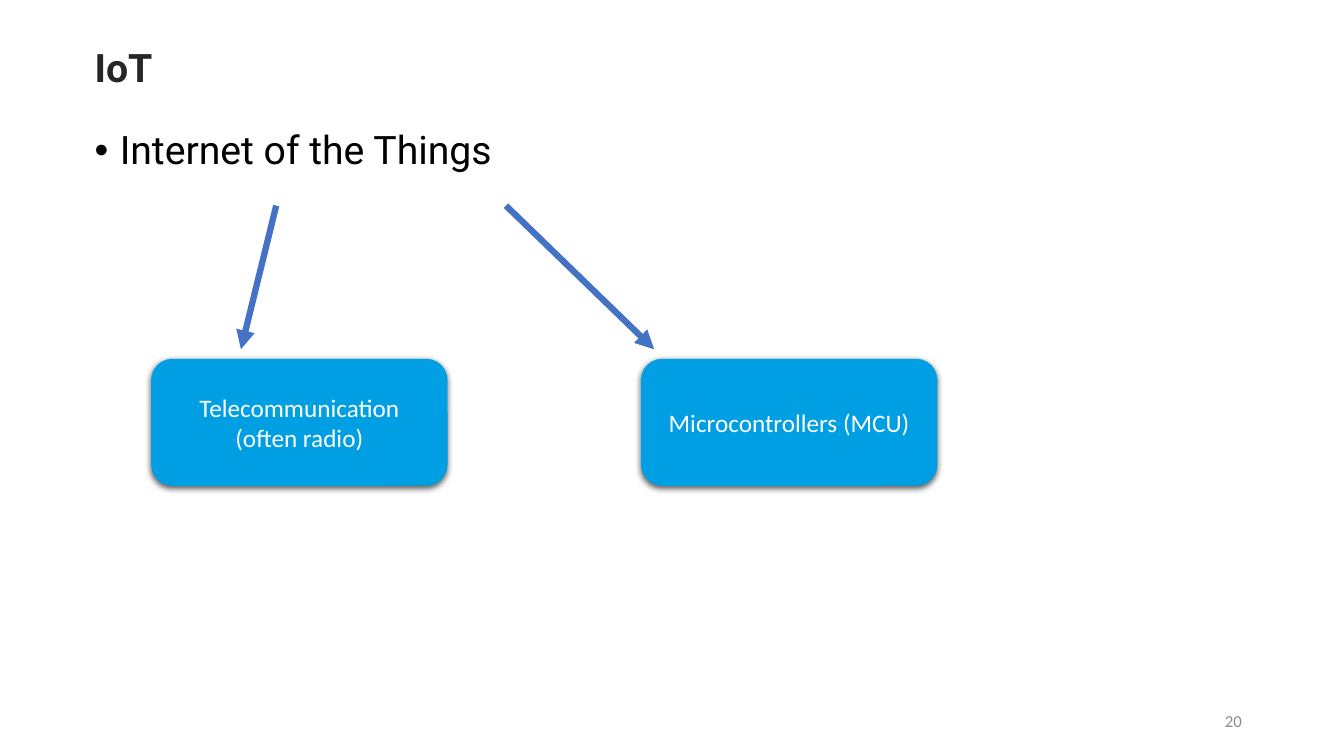
import dataclasses

import lxml.etree
import pptx
import pptx.dml.color
import pptx.enum.shapes
import pptx.enum.text
import pptx.oxml
import pptx.oxml.ns
import pptx.util

Pt = pptx.util.Pt
qn = pptx.oxml.ns.qn
ALIGN = pptx.enum.text.PP_ALIGN
ANCHOR = pptx.enum.text.MSO_ANCHOR
SHADOW = (
    '<a:outerShdw xmlns:a="http://schemas.openxmlformats.org/drawingml/2006/main"'
    ' blurRad="57150" dist="19050" dir="5400000" algn="ctr" rotWithShape="0">'
    '<a:srgbClr val="000000"><a:alpha val="63000"/></a:srgbClr></a:outerShdw>'
)


@dataclasses.dataclass(frozen=True)
class Theme:
    heading_font: str = "Roboto"
    text_font: str = "Calibri"
    title: str = "262626"
    body: str = "000000"
    number: str = "8C8C8C"
    card: str = "009FE3"
    card_text: str = "FFFFFF"
    arrow: str = "4472C4"
    heading_size: int = 28
    card_size: int = 18
    number_size: int = 12
    arrow_width: float = 4.5


THEME = Theme()


def rgb(color):
    return pptx.dml.color.RGBColor.from_string(color)


def write(sp, text, font, size, color, bold=False, anchor=ANCHOR.TOP, **paragraph):
    """Fill a shape with one formatted paragraph and return the paragraph."""
    tf = sp.text_frame
    tf.word_wrap = True
    tf.vertical_anchor = anchor
    p = tf.paragraphs[0]
    p.text = text
    for name, value in paragraph.items():
        setattr(p, name, value)
    for r in p.runs:
        for name, value in {"name": font, "size": Pt(size), "bold": bold}.items():
            setattr(r.font, name, value)
        r.font.color.rgb = rgb(color)
    return p


def add_box(slide, box):
    return slide.shapes.add_textbox(*map(Pt, box))


def add_title(slide, box, text):
    write(add_box(slide, box), text, THEME.heading_font, THEME.heading_size,
          THEME.title, bold=True, anchor=ANCHOR.BOTTOM, line_spacing=0.9)


def add_body(slide, box, text):
    p = write(add_box(slide, box), text, THEME.heading_font, THEME.heading_size,
              THEME.body, line_spacing=0.9)
    pPr = p._p.get_or_add_pPr()
    for name, value in {"marL": Pt(18), "indent": Pt(-18)}.items():
        pPr.set(name, str(value))
    lxml.etree.SubElement(pPr, qn("a:buFont")).set("typeface", "Arial")
    lxml.etree.SubElement(pPr, qn("a:buChar")).set("char", "•")


def add_number(slide, box, text):
    write(add_box(slide, box), text, THEME.text_font, THEME.number_size,
          THEME.number, anchor=ANCHOR.MIDDLE, alignment=ALIGN.RIGHT)


def add_card(slide, box, text):
    sp = slide.shapes.add_shape(
        pptx.enum.shapes.MSO_SHAPE.ROUNDED_RECTANGLE, *map(Pt, box))
    sp.fill.solid()
    sp.fill.fore_color.rgb = rgb(THEME.card)
    sp.line.fill.background()
    sp.shadow.inherit = False
    sp._element.spPr.find(qn("a:effectLst")).append(pptx.oxml.parse_xml(SHADOW))
    write(sp, text, THEME.text_font, THEME.card_size, THEME.card_text,
          anchor=ANCHOR.MIDDLE, alignment=ALIGN.CENTER)


def add_arrow(slide, start, end):
    line = slide.shapes.add_connector(
        pptx.enum.shapes.MSO_CONNECTOR.STRAIGHT, *map(Pt, (*start, *end)))
    line.line.color.rgb = rgb(THEME.arrow)
    line.line.width = Pt(THEME.arrow_width)
    ln = line.line._get_or_add_ln()
    lxml.etree.SubElement(ln, qn("a:tailEnd")).set("type", "triangle")
    lxml.etree.SubElement(line._element.spPr, qn("a:effectLst"))


def add_branches(slide, box, branches):
    """Place cards at both ends of the box's foot, with arrows from its top."""
    left, top, width, height = box
    card_w, card_h = 211.7, 90.7
    step = (width - card_w) / (len(branches) - 1)
    for i, (text, tail_x, head_x) in enumerate(branches):
        card_top = top + height - card_h
        add_card(slide, (left + i * step, card_top, card_w, card_h), text)
        add_arrow(slide, (left + tail_x, top), (left + head_x, card_top - 6.8))


def main():
    prs = pptx.Presentation()
    prs.slide_width, prs.slide_height = Pt(960), Pt(540)
    slide = prs.slides.add_slide(prs.slide_layouts[6])
    add_title(slide, (60.5, 18.7, 879.8, 49.7), "IoT")
    add_body(slide, (60.5, 90, 784, 393), "Internet of the Things")
    add_branches(slide, (108, 146.9, 561.6, 200.1), [
        ("Telecommunication\n(often radio)", 89.3, 64.1),
        ("Microcontrollers (MCU)", 253.4, 359.3),
    ])
    add_number(slide, (678.2, 500.4, 216, 28.8), "20")
    prs.save("out.pptx")


if __name__ == "__main__":
    main()
